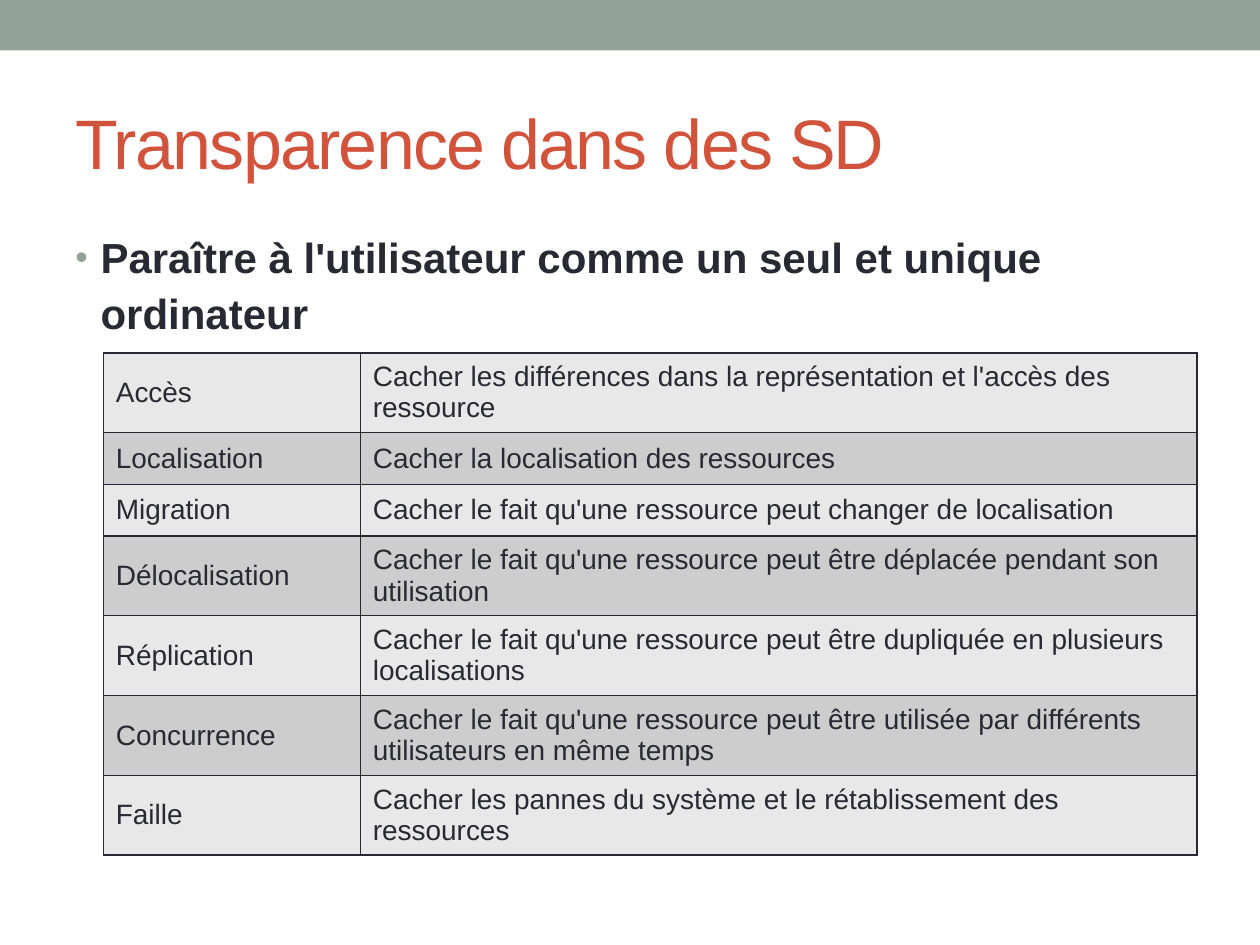
from lxml import etree
from pptx import Presentation
from pptx.dml.color import RGBColor
from pptx.enum.shapes import MSO_SHAPE
from pptx.enum.text import MSO_ANCHOR, PP_ALIGN
from pptx.oxml.ns import qn
from pptx.util import Inches, Pt

RECTANGLE = MSO_SHAPE.RECTANGLE
MIDDLE, TOP = MSO_ANCHOR.MIDDLE, MSO_ANCHOR.TOP
LEFT = PP_ALIGN.LEFT

# Content
TITLE = "Transparence dans des SD"
STATEMENT = "Paraître à l'utilisateur comme un seul et unique ordinateur"
TRANSPARENCIES = [
    ("Accès", "Cacher les différences dans la représentation et l'accès des ressource"),
    ("Localisation", "Cacher la localisation des ressources"),
    ("Migration", "Cacher le fait qu'une ressource peut changer de localisation"),
    ("Délocalisation", "Cacher le fait qu'une ressource peut être déplacée pendant son utilisation"),
    ("Réplication", "Cacher le fait qu'une ressource peut être dupliquée en plusieurs localisations"),
    ("Concurrence", "Cacher le fait qu'une ressource peut être utilisée par différents "
                    "utilisateurs en même temps"),
    ("Faille", "Cacher les pannes du système et le rétablissement des ressources"),
]

FONT = "Arial"
COLORS = {"band": "93A299", "title": "D2533C", "text": "292934",
          "odd_row": "E8E8E8", "even_row": "CDCDCE"}
COLUMN_WIDTHS = (2.04, 6.64)
ROW_HEIGHT = 0.41


def rgb(name):
    return RGBColor.from_string(COLORS[name])


def box(left, top, width, height):
    return [Inches(v) for v in (left, top, width, height)]


def add_text(paragraph, text, size, color, bold=False):
    paragraph.alignment = LEFT
    run = paragraph.add_run()
    run.text = text
    run.font.name = FONT
    run.font.size = Pt(size)
    run.font.bold = bold
    run.font.color.rgb = rgb(color)
    return run


def set_bullet(paragraph, char, color, percent, indent):
    props = paragraph._p.get_or_add_pPr()
    props.set("marL", str(Inches(indent)))
    props.set("indent", str(-Inches(indent)))
    bullet_color = etree.SubElement(props, qn("a:buClr"))
    etree.SubElement(bullet_color, qn("a:srgbClr"), val=COLORS[color])
    etree.SubElement(props, qn("a:buSzPct"), val=str(percent * 1000))
    etree.SubElement(props, qn("a:buFont"), typeface=FONT)
    etree.SubElement(props, qn("a:buChar"), char=char)


def set_borders(cell, color, width):
    props = cell._tc.get_or_add_tcPr()
    for position, side in enumerate(("lnL", "lnR", "lnT", "lnB")):
        line = etree.Element(qn(f"a:{side}"), w=str(Pt(width)))
        fill = etree.SubElement(line, qn("a:solidFill"))
        etree.SubElement(fill, qn("a:srgbClr"), val=COLORS[color])
        props.insert(position, line)


prs = Presentation()
prs.slide_width, prs.slide_height = Inches(10), Inches(7.5)
slide = prs.slides.add_slide(prs.slide_layouts[5])

# Top band
band = slide.shapes.add_shape(RECTANGLE, *box(0, 0, 10, 0.4))
band.shadow.inherit = False
band.fill.solid()
band.fill.fore_color.rgb = rgb("band")
band.line.fill.background()

# Title
title = slide.shapes.title
title.left, title.top, title.width, title.height = box(0.5, 0.58, 9, 1.08)
title.text_frame.vertical_anchor = MIDDLE
title_run = add_text(title.text_frame.paragraphs[0], TITLE, 40, "title")
title_run.font._element.set("spc", "-100")

# Statement
statement = slide.shapes.add_textbox(*box(0.5, 1.75, 9, 1)).text_frame
statement.word_wrap = True
statement.vertical_anchor = TOP
paragraph = statement.paragraphs[0]
paragraph.line_spacing = 1.1
add_text(paragraph, STATEMENT, 24, "text", bold=True)
set_bullet(paragraph, "•", "band", 85, 0.2)

# Table of transparencies
table = slide.shapes.add_table(
    len(TRANSPARENCIES), len(COLUMN_WIDTHS),
    *box(0.82, 2.8, sum(COLUMN_WIDTHS), ROW_HEIGHT * len(TRANSPARENCIES))).table
table.first_row = False
for column, width in zip(table.columns, COLUMN_WIDTHS):
    column.width = Inches(width)
for r, texts in enumerate(TRANSPARENCIES):
    table.rows[r].height = Inches(ROW_HEIGHT)
    for c, text in enumerate(texts):
        cell = table.cell(r, c)
        cell.vertical_anchor = MIDDLE
        cell.fill.solid()
        cell.fill.fore_color.rgb = rgb("even_row" if r % 2 else "odd_row")
        set_borders(cell, "text", 1)
        add_text(cell.text_frame.paragraphs[0], text, 16, "text")

prs.save("out.pptx")
